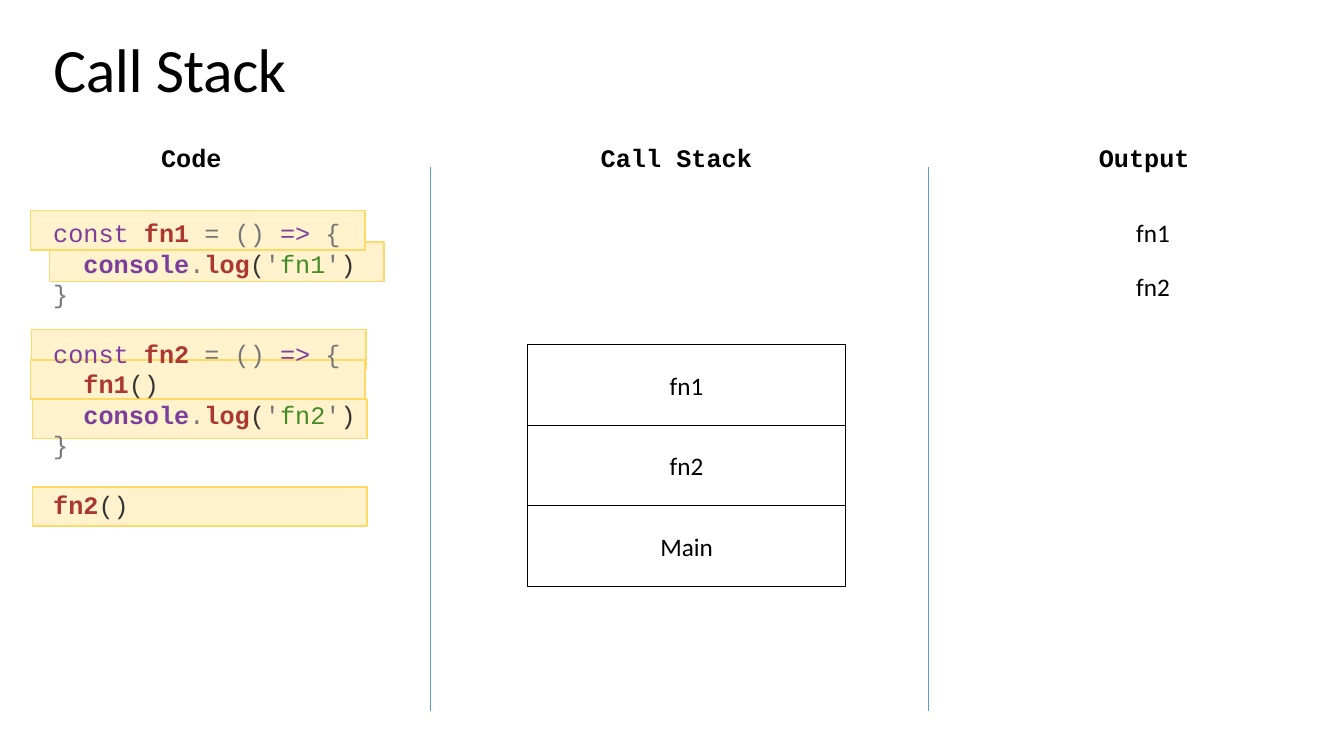
from pptx import Presentation
from pptx.dml.color import RGBColor
from pptx.enum.shapes import MSO_CONNECTOR, MSO_SHAPE
from pptx.enum.text import MSO_ANCHOR, PP_ALIGN
from pptx.oxml.ns import qn
from pptx.util import Inches, Pt
from lxml import etree

PURPLE, RED, GREY, DARK, GREEN = "7A3E9D", "AA3731", "777777", "333333", "448C27"


def rgb(value):
    return RGBColor.from_string(value)


class SlideBuilder:
    sans = "Calibri"
    mono = "Courier New"
    size = Pt(18)
    code_pitch = Pt(21.6)
    code_indent = Inches(0.3)

    def __init__(self, slide):
        self.s = slide

    def style(self, p, font, size=None, bold=None, color="000000"):
        p.font.name = font
        p.font.size = size or self.size
        p.font.bold = bold
        p.font.color.rgb = rgb(color)

    def box(self, x, y, w, h, line, width, fill=None, text=None):
        sp = self.s.shapes.add_shape(
            MSO_SHAPE.RECTANGLE, Inches(x), Inches(y), Inches(w), Inches(h))
        sp.shadow.inherit = False
        sp.line.color.rgb = rgb(line)
        sp.line.width = Pt(width)
        if fill:
            sp.fill.solid()
            sp.fill.fore_color.rgb = rgb(fill)
        else:
            sp.fill.background()
        if text:
            tf = sp.text_frame
            tf.vertical_anchor = MSO_ANCHOR.MIDDLE
            p = tf.paragraphs[0]
            p.text = text
            p.alignment = PP_ALIGN.CENTER
            self.style(p, self.sans)

    def highlight(self, x, y):
        self.box(x, y, 3.32, 0.39, "FFD966", 1, fill="FFF2CC")

    def frame(self, x, y, w, h, wrap=True):
        tf = self.s.shapes.add_textbox(
            Inches(x), Inches(y), Inches(w), Inches(h)).text_frame
        tf.word_wrap = wrap
        return tf

    def title(self, text):
        tf = self.frame(0.53, 0.3, 5.42, 0.74)
        tf.margin_left = tf.margin_right = tf.margin_top = tf.margin_bottom = 0
        tf.vertical_anchor = MSO_ANCHOR.MIDDLE
        p = tf.paragraphs[0]
        r = p.add_run()
        r.text = text
        r._r.get_or_add_rPr().set("spc", "-30")
        self.style(p, self.sans, Pt(44))

    def heading(self, text, x, w):
        p = self.frame(x, 1.36, w, 0.4).paragraphs[0]
        p.text = text
        p.line_spacing = self.code_pitch
        self.style(p, self.mono, bold=True)

    def output(self, text, y):
        p = self.frame(11.17, y, 0.54, 0.4, wrap=False).paragraphs[0]
        p.text = text
        self.style(p, self.sans)

    def divider(self, x):
        c = self.s.shapes.add_connector(
            MSO_CONNECTOR.STRAIGHT, Inches(x), Inches(1.66), Inches(x), Inches(7.05))
        c.line.color.rgb = rgb("5B9BD5")
        c.line.width = Pt(0.5)
        etree.SubElement(c._element.spPr, qn("a:effectLst"))

    def code(self, blocks):
        tf = self.frame(0.43, 2.11, 3.6, 3.13)
        p = tf.paragraphs[0]
        for b, block in enumerate(blocks):
            for i, (indented, tokens) in enumerate(block):
                if b or i:
                    p = tf.add_paragraph()
                p.line_spacing = self.code_pitch
                if b and i == 0:
                    p.space_before = self.code_pitch
                if indented:
                    p._p.get_or_add_pPr().set("marL", str(self.code_indent))
                p.font.name = self.mono
                p.font.size = self.size
                for text, color, bold in tokens:
                    r = p.add_run()
                    r.text = text
                    r.font.bold = bold
                    r.font.color.rgb = rgb(color)


def opening(name):
    return False, [("const ", PURPLE, False), (name + " ", RED, True),
                   ("= () ", GREY, False), ("=> ", PURPLE, False), ("{", GREY, False)]


def log(name):
    return True, [("console", PURPLE, True), (".", GREY, False), ("log", RED, True),
                  ("(", DARK, False), ("'", GREY, False), (name, GREEN, False),
                  ("'", GREY, False), (")", DARK, False)]


def call(name, indented=False):
    return indented, [(name, RED, True), ("()", DARK, False)]


def main():
    prs = Presentation()
    prs.slide_width = Inches(13.33)
    prs.slide_height = Inches(7.5)
    s = SlideBuilder(prs.slides.add_slide(prs.slide_layouts[6]))

    for x, y in [(0.32, 3.96), (0.49, 2.4), (0.3, 2.09),
                 (0.31, 3.27), (0.3, 3.57), (0.32, 4.83)]:
        s.highlight(x, y)

    s.title("Call Stack")
    for text, x, w in [("Code", 1.5, 1.27), ("Call Stack", 5.86, 1.9),
                       ("Output", 10.8, 1.27)]:
        s.heading(text, x, w)
    for x in (4.27, 9.21):
        s.divider(x)

    closing = (False, [("}", GREY, False)])
    s.code([
        [opening("fn1"), log("fn1"), closing],
        [opening("fn2"), call("fn1", indented=True), log("fn2"), closing],
        [call("fn2")],
    ])

    for i, text in enumerate(["fn1", "fn2", "Main"]):
        s.box(5.23, 3.42 + 0.8 * i, 3.16, 0.8, "000000", 0.75, text=text)
    for i, text in enumerate(["fn1", "fn2"]):
        s.output(text, 2.11 + 0.53 * i)

    prs.save("out.pptx")


if __name__ == "__main__":
    main()
